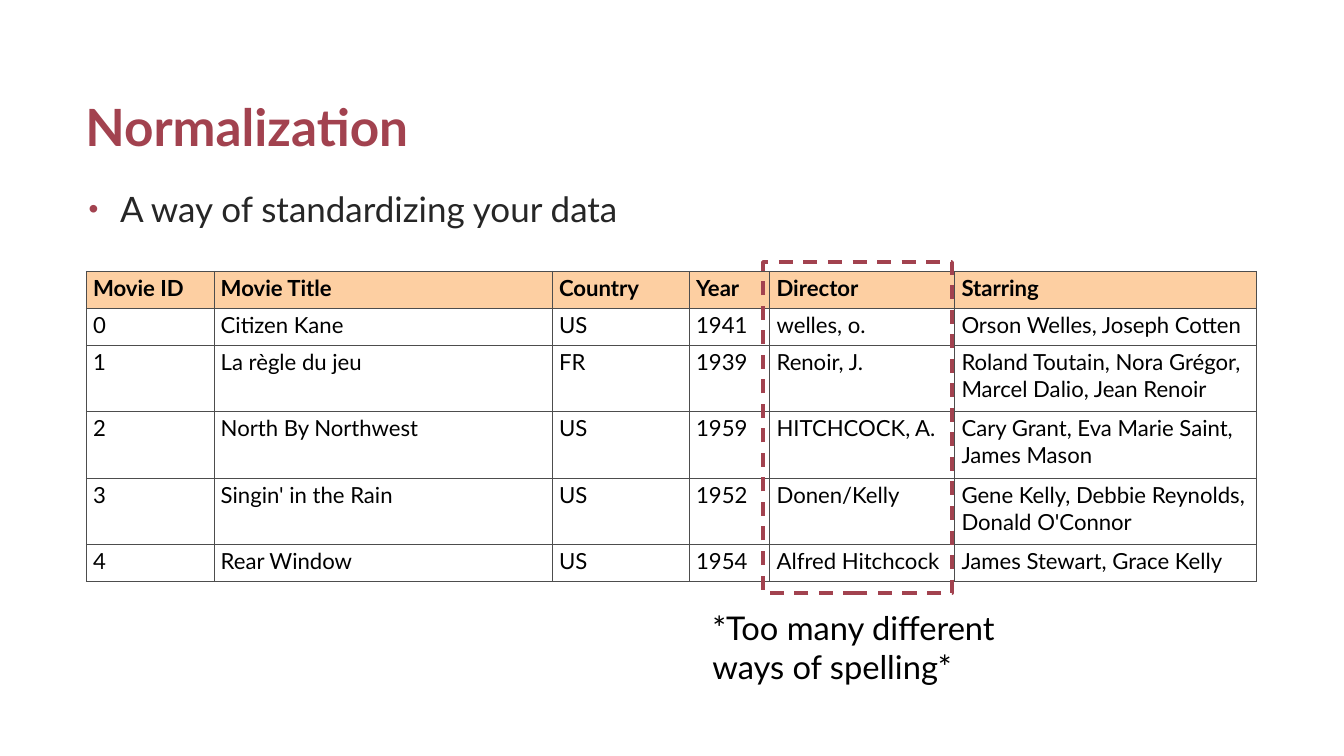
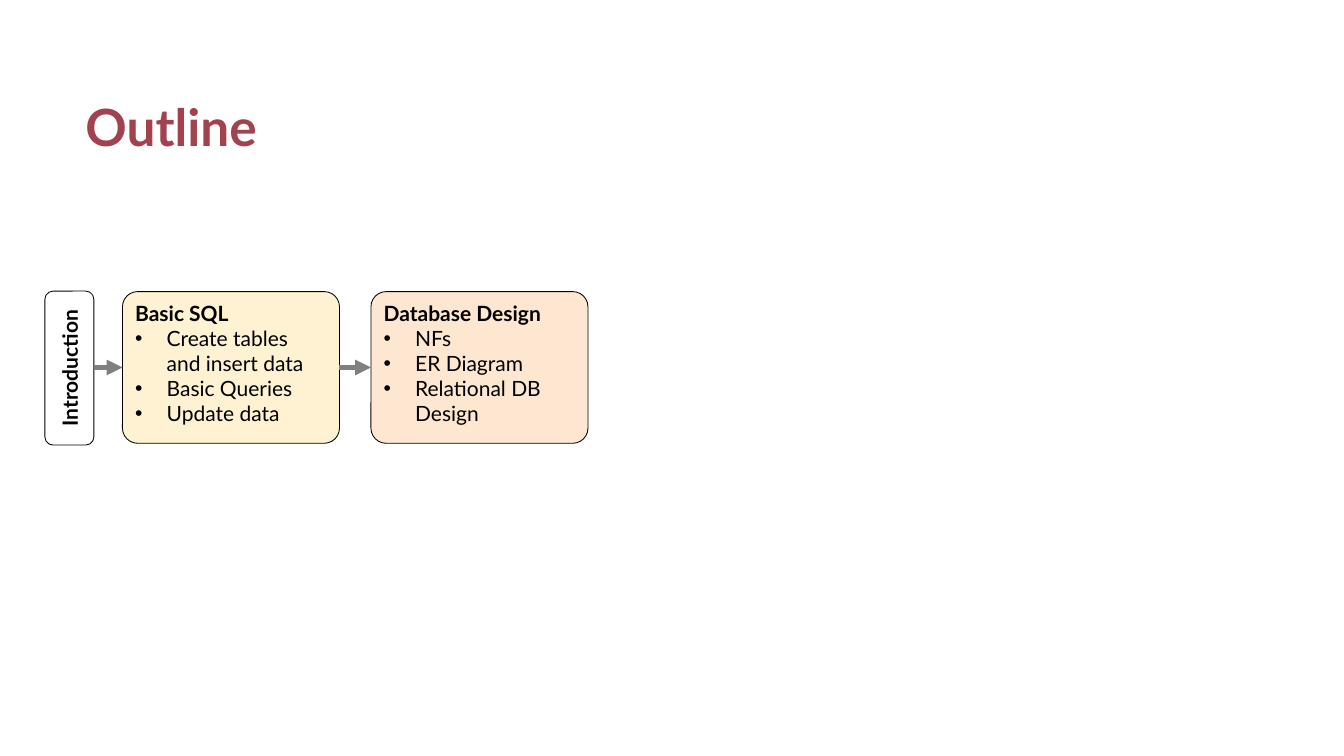
"""Build two database course slides: a normalization table and an outline."""
from dataclasses import dataclass

from lxml import etree
from pptx import Presentation
from pptx.dml.color import RGBColor
from pptx.enum import dml, shapes, text
from pptx.oxml import ns
from pptx.util import Pt

FONT = "Lato"
RED, BLACK, WHITE, GREY = "A2424F", "000000", "FFFFFF", "808080"
BODY, HEADER, GRID = "262626", "FDCFA2", "4D4D4D"
TITLE_BOX = (66, 26, 1020, 112)
BODY_BOX = (66, 156, 1020, 420)
TABLE_LEFT, TABLE_TOP = 74, 232.5
COLUMNS = (109.5, 290, 117.5, 69, 158.5, 259)
ROW_HEIGHTS = (31.75, 31.75, 57, 57, 57, 31.75)
MOVIES = (
    ("Movie ID", "Movie Title", "Country", "Year", "Director", "Starring"),
    ("0", "Citizen Kane", "US", "1941", "welles, o.", "Orson Welles, Joseph Cotten"),
    ("1", "La règle du jeu", "FR", "1939", "Renoir, J.",
     "Roland Toutain, Nora Grégor, Marcel Dalio, Jean Renoir"),
    ("2", "North By Northwest", "US", "1959", "HITCHCOCK, A.",
     "Cary Grant, Eva Marie Saint, James Mason"),
    ("3", "Singin' in the Rain", "US", "1952", "Donen/Kelly",
     "Gene Kelly, Debbie Reynolds, Donald O'Connor"),
    ("4", "Rear Window", "US", "1954", "Alfred Hitchcock", "James Stewart, Grace Kelly"),
)
INTRO_RIGHT = 80.75
CARD_LEFT, CARD_TOP, CARD_WIDTH, CARD_HEIGHT, CARD_STEP = 105, 250, 186, 130, 213


@dataclass(frozen=True)
class Card:
    heading: str
    topics: tuple[str, ...]
    fill: str


CARDS = (
    Card("Basic SQL", ("Create tables and insert data", "Basic Queries", "Update data"), "FEF2D2"),
    Card("Database Design", ("NFs", "ER Diagram", "Relational DB Design"), "FEE7D0"),
)


def rgb(value: str) -> RGBColor:
    return RGBColor.from_string(value)


def box(values: tuple) -> list:
    return [Pt(v) for v in values]


def place(sp, values: tuple) -> None:
    sp.left, sp.top, sp.width, sp.height = box(values)


def child(parent, tag: str, **attrs: str):
    return etree.SubElement(parent, ns.qn(tag), attrs)


def add_run(p, content: str, size: float, color: str = BLACK, bold: bool = False) -> None:
    r = p.add_run()
    r.text = content
    r.font.name, r.font.size, r.font.bold = FONT, Pt(size), bold
    r.font.color.rgb = rgb(color)


def add_bullet(p, indent: float, color: str = BLACK, percent: int = 100) -> None:
    pPr = p._p.get_or_add_pPr()
    pPr.set("marL", str(Pt(indent)))
    pPr.set("indent", str(-Pt(indent)))
    child(child(pPr, "a:buClr"), "a:srgbClr", val=color)
    child(pPr, "a:buSzPct", val=str(percent * 1000))
    child(pPr, "a:buFont", typeface="Arial")
    child(pPr, "a:buChar", char="•")


def add_titled_slide(prs, layout: int, title: str):
    s = prs.slides.add_slide(prs.slide_layouts[layout])
    sp = s.shapes.title
    place(sp, TITLE_BOX)
    tf = sp.text_frame
    tf.auto_size = text.MSO_AUTO_SIZE.NONE
    tf.vertical_anchor = text.MSO_ANCHOR.BOTTOM
    p = tf.paragraphs[0]
    p.alignment = text.PP_ALIGN.LEFT
    add_run(p, title, 44, RED, True)
    return s


def add_box(s, kind, values: tuple, fill: str = "", line: str = BLACK, width: float = 0.75):
    sp = s.shapes.add_shape(kind, *box(values))
    sp.shadow.inherit = False
    if fill:
        sp.fill.solid()
        sp.fill.fore_color.rgb = rgb(fill)
    else:
        sp.fill.background()
    sp.line.color.rgb = rgb(line)
    sp.line.width = Pt(width)
    return sp


def add_arrow(s, x1: float, x2: float, y: float) -> None:
    line = s.shapes.add_connector(shapes.MSO_CONNECTOR.STRAIGHT, *box((x1, y, x2, y)))
    line.line.color.rgb = rgb(GREY)
    line.line.width = Pt(4.5)
    child(line.line._get_or_add_ln(), "a:tailEnd", type="triangle")
    child(line._element.spPr, "a:effectLst")


def format_cell(cell, content: str, header: bool) -> None:
    cell.margin_left = cell.margin_right = Pt(5.75)
    cell.margin_top = cell.margin_bottom = Pt(2.9)
    add_run(cell.text_frame.paragraphs[0], content, 19, bold=header)
    tcPr = cell._tc.get_or_add_tcPr()
    for side in ("a:lnL", "a:lnR", "a:lnT", "a:lnB"):
        ln = child(tcPr, side, w=str(Pt(1)))
        child(child(ln, "a:solidFill"), "a:srgbClr", val=GRID)
    cell.fill.solid()
    cell.fill.fore_color.rgb = rgb(HEADER if header else WHITE)


def add_movie_table(s) -> None:
    frame = s.shapes.add_table(len(MOVIES), len(COLUMNS), *box(
        (TABLE_LEFT, TABLE_TOP, sum(COLUMNS), sum(ROW_HEIGHTS))))
    table = frame.table
    table.horz_banding = False
    for column, width in zip(table.columns, COLUMNS):
        column.width = Pt(width)
    for i, (row, height, movie) in enumerate(zip(table.rows, ROW_HEIGHTS, MOVIES)):
        row.height = Pt(height)
        for cell, content in zip(row.cells, movie):
            format_cell(cell, content, header=i == 0)


def add_card(s, card: Card, left: float) -> None:
    sp = add_box(s, shapes.MSO_SHAPE.ROUNDED_RECTANGLE,
                 (left, CARD_TOP, CARD_WIDTH, CARD_HEIGHT), card.fill)
    sp.adjustments[0] = 0.1
    tf = sp.text_frame
    tf.word_wrap = True
    tf.vertical_anchor = text.MSO_ANCHOR.TOP
    p = tf.paragraphs[0]
    p.alignment = text.PP_ALIGN.LEFT
    add_run(p, card.heading, 18, bold=True)
    for topic in card.topics:
        p = tf.add_paragraph()
        p.alignment = text.PP_ALIGN.LEFT
        add_bullet(p, 27)
        add_run(p, topic, 18)


def build_normalization(prs) -> None:
    s = add_titled_slide(prs, 1, "Normalization")
    sp = s.placeholders[1]
    place(sp, BODY_BOX)
    tf = sp.text_frame
    tf.auto_size = text.MSO_AUTO_SIZE.NONE
    tf.margin_left = tf.margin_right = Pt(10)
    tf.margin_top = tf.margin_bottom = Pt(5)
    p = tf.paragraphs[0]
    p.space_before, p.space_after = Pt(0), Pt(2)
    add_bullet(p, 27, RED, 80)
    add_run(p, "A way of standardizing your data", 30, BODY)

    add_movie_table(s)
    highlight = add_box(s, shapes.MSO_SHAPE.RECTANGLE, (654, 224.5, 162, 284), line=RED, width=3)
    highlight.line.dash_style = dml.MSO_LINE.DASH
    note = s.shapes.add_textbox(*box((603.5, 517.5, 264, 75)))
    tf = note.text_frame
    tf.word_wrap = True
    tf.auto_size = text.MSO_AUTO_SIZE.SHAPE_TO_FIT_TEXT
    add_run(tf.paragraphs[0], "*Too many different ways of spelling*", 28)


def build_outline(prs) -> None:
    s = add_titled_slide(prs, 5, "Outline")
    intro = add_box(s, shapes.MSO_SHAPE.ROUNDED_RECTANGLE, (-6.5, 294.5, 132, 42))
    intro.rotation = 270
    tf = intro.text_frame
    tf.word_wrap = True
    p = tf.paragraphs[0]
    p.alignment = text.PP_ALIGN.CENTER
    add_run(p, "Introduction", 18, bold=True)

    arrow_start = INTRO_RIGHT
    for i, card in enumerate(CARDS):
        left = CARD_LEFT + i * CARD_STEP
        add_card(s, card, left)
        add_arrow(s, arrow_start, left, CARD_TOP + CARD_HEIGHT / 2)
        arrow_start = left + CARD_WIDTH


def main() -> None:
    prs = Presentation()
    prs.slide_width, prs.slide_height = Pt(1152), Pt(648)
    build_normalization(prs)
    build_outline(prs)
    prs.save("out.pptx")


if __name__ == "__main__":
    main()
